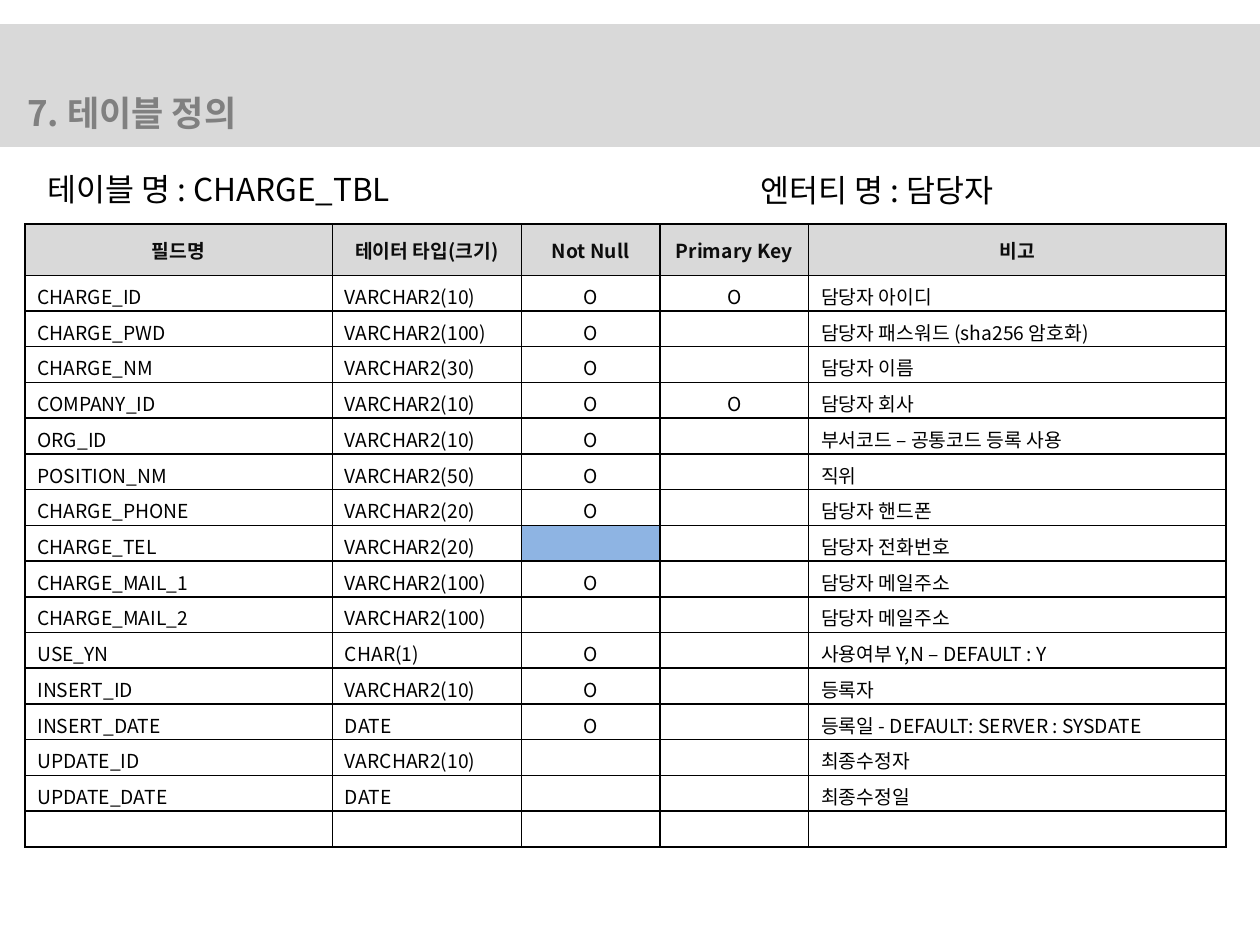
import pptx
import pptx.dml.color
import pptx.enum.shapes
import pptx.enum.text
import pptx.oxml
import pptx.oxml.ns
import pptx.util
from lxml import etree

Cm, Pt = pptx.util.Cm, pptx.util.Pt
ALIGN = pptx.enum.text.PP_ALIGN
ANCHOR = pptx.enum.text.MSO_ANCHOR
qn = pptx.oxml.ns.qn

FONT = "Noto Sans CJK KR"
COLORS = {"band": "D9D9D9", "title": "808080", "header": "0D0D0D",
          "text": "000000", "cell": "FFFFFF", "marked": "8EB4E3"}
FORMATS = {
    "title": {"size": Pt(20), "bold": True},
    "label": {"size": Pt(18), "bold": False},
    "header": {"size": Pt(11), "bold": True},
    "text": {"size": Pt(11), "bold": False},
}

HEADER = ["필드명", "테이터 타입(크기)", "Not Null", "Primary Key", "비고"]
FIELDS = [
    ["CHARGE_ID", "VARCHAR2(10)", "O", "O", "담당자 아이디"],
    ["CHARGE_PWD", "VARCHAR2(100)", "O", "", "담당자 패스워드 (sha256 암호화)"],
    ["CHARGE_NM", "VARCHAR2(30)", "O", "", "담당자 이름"],
    ["COMPANY_ID", "VARCHAR2(10)", "O", "O", "담당자 회사"],
    ["ORG_ID", "VARCHAR2(10)", "O", "", "부서코드 – 공통코드 등록 사용"],
    ["POSITION_NM", "VARCHAR2(50)", "O", "", "직위"],
    ["CHARGE_PHONE", "VARCHAR2(20)", "O", "", "담당자 핸드폰"],
    ["CHARGE_TEL", "VARCHAR2(20)", "", "", "담당자 전화번호"],
    ["CHARGE_MAIL_1", "VARCHAR2(100)", "O", "", "담당자 메일주소"],
    ["CHARGE_MAIL_2", "VARCHAR2(100)", "", "", "담당자 메일주소"],
    ["USE_YN", "CHAR(1)", "O", "", "사용여부 Y,N – DEFAULT : Y"],
    ["INSERT_ID", "VARCHAR2(10)", "O", "", "등록자"],
    ["INSERT_DATE", "DATE", "O", "", "등록일 - DEFAULT: SERVER : SYSDATE"],
    ["UPDATE_ID", "VARCHAR2(10)", "", "", "최종수정자"],
    ["UPDATE_DATE", "DATE", "", "", "최종수정일"],
    ["", "", "", "", ""],
]
MARKED = (8, 2)  # Not Null cell of CHARGE_TEL
COL_WIDTHS = [6.2, 3.81, 2.79, 3.0, 8.41]
HEADER_HEIGHT, ROW_HEIGHT = 1.03, 0.72


def rgb(name):
    return pptx.dml.color.RGBColor.from_string(COLORS[name])


def write(p, text, style, color):
    """Put one formatted run in a paragraph, or size the empty paragraph."""
    if not text:
        end = etree.SubElement(p._p, qn("a:endParaRPr"))
        end.set("sz", str(int(FORMATS[style]["size"].pt * 100)))
        return
    r = p.add_run()
    r.text = text
    for name, value in FORMATS[style].items():
        setattr(r.font, name, value)
    r.font.name = FONT
    r.font.color.rgb = rgb(color)
    ea = etree.SubElement(r.font._element, qn("a:ea"))
    ea.set("typeface", FONT)


def add_text(slide, box, text, style, color):
    tf = slide.shapes.add_textbox(*map(Cm, box)).text_frame
    tf.word_wrap = True
    tf.auto_size = pptx.enum.text.MSO_AUTO_SIZE.SHAPE_TO_FIT_TEXT
    write(tf.paragraphs[0], text, style, color)


def add_heading(slide, box):
    """Grey band with the section title at its lower left."""
    left, top, width, height = box
    sp = slide.shapes.add_shape(pptx.enum.shapes.MSO_SHAPE.RECTANGLE, *map(Cm, box))
    sp.shadow.inherit = False
    sp.fill.solid()
    sp.fill.fore_color.rgb = rgb("band")
    sp.line.color.rgb = rgb("band")
    sp.line.width = Pt(2)
    add_text(slide, (left + 0.3, top + 1.2, 9.6, 1.11), "7. 테이블 정의", "title", "title")


def add_names(slide, box):
    """Table name on the left, entity name on the right."""
    left, top, width, height = box
    item = 9.6
    add_text(slide, (left, top, item, height), "테이블 명 : CHARGE_TBL", "label", "text")
    add_text(slide, (left + width - item, top + 0.03, item, height),
             "엔터티 명 : 담당자", "label", "text")


def add_borders(cell):
    pr = cell._tc.get_or_add_tcPr()
    for i, side in enumerate(("lnL", "lnR", "lnT", "lnB")):
        ln = pptx.oxml.parse_xml(
            f'<a:{side} xmlns:a="http://schemas.openxmlformats.org/drawingml/2006/main" '
            f'w="12700"><a:solidFill><a:srgbClr val="{COLORS["text"]}"/>'
            f'</a:solidFill></a:{side}>')
        pr.insert(i, ln)


def add_fields(slide, box):
    """Field definitions under a grey header row."""
    rows = [HEADER] + FIELDS
    table = slide.shapes.add_table(len(rows), len(HEADER), *map(Cm, box)).table
    table.first_row = table.horz_banding = False
    for col, width in zip(table.columns, COL_WIDTHS):
        col.width = Cm(width)
    for i, values in enumerate(rows):
        is_header = i == 0
        table.rows[i].height = Cm(HEADER_HEIGHT if is_header else ROW_HEIGHT)
        style = "header" if is_header else "text"
        for j, value in enumerate(values):
            cell = table.cell(i, j)
            cell.vertical_anchor = ANCHOR.MIDDLE
            if not is_header:
                cell.margin_top, cell.margin_bottom = Cm(0.13), Cm(0.02)
            fill = "band" if is_header else "marked" if (i, j) == MARKED else "cell"
            cell.fill.solid()
            cell.fill.fore_color.rgb = rgb(fill)
            add_borders(cell)
            p = cell.text_frame.paragraphs[0]
            p.alignment = ALIGN.CENTER if is_header or j in (2, 3) else ALIGN.LEFT
            write(p, value, style, style)


def main():
    prs = pptx.Presentation()
    prs.slide_width, prs.slide_height = Cm(25.4), Cm(19.05)
    slide = prs.slides.add_slide(prs.slide_layouts[6])
    add_heading(slide, (0, 0.53, 25.4, 2.39))
    add_fields(slide, (0.5, 4.52, sum(COL_WIDTHS),
                       HEADER_HEIGHT + ROW_HEIGHT * len(FIELDS)))
    add_names(slide, (0.71, 3.3, 23.98, 1.02))
    prs.save("out.pptx")


if __name__ == "__main__":
    main()
